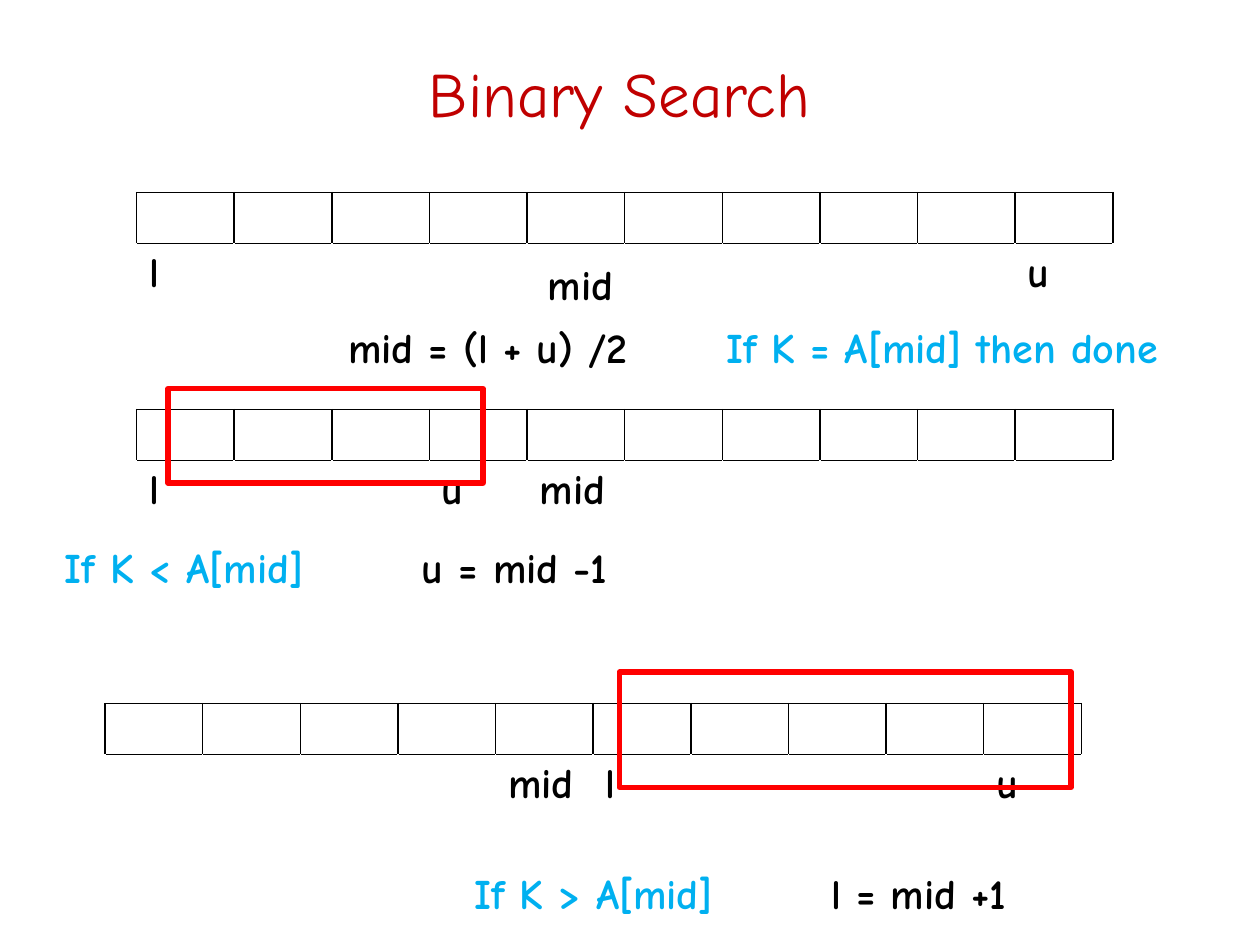
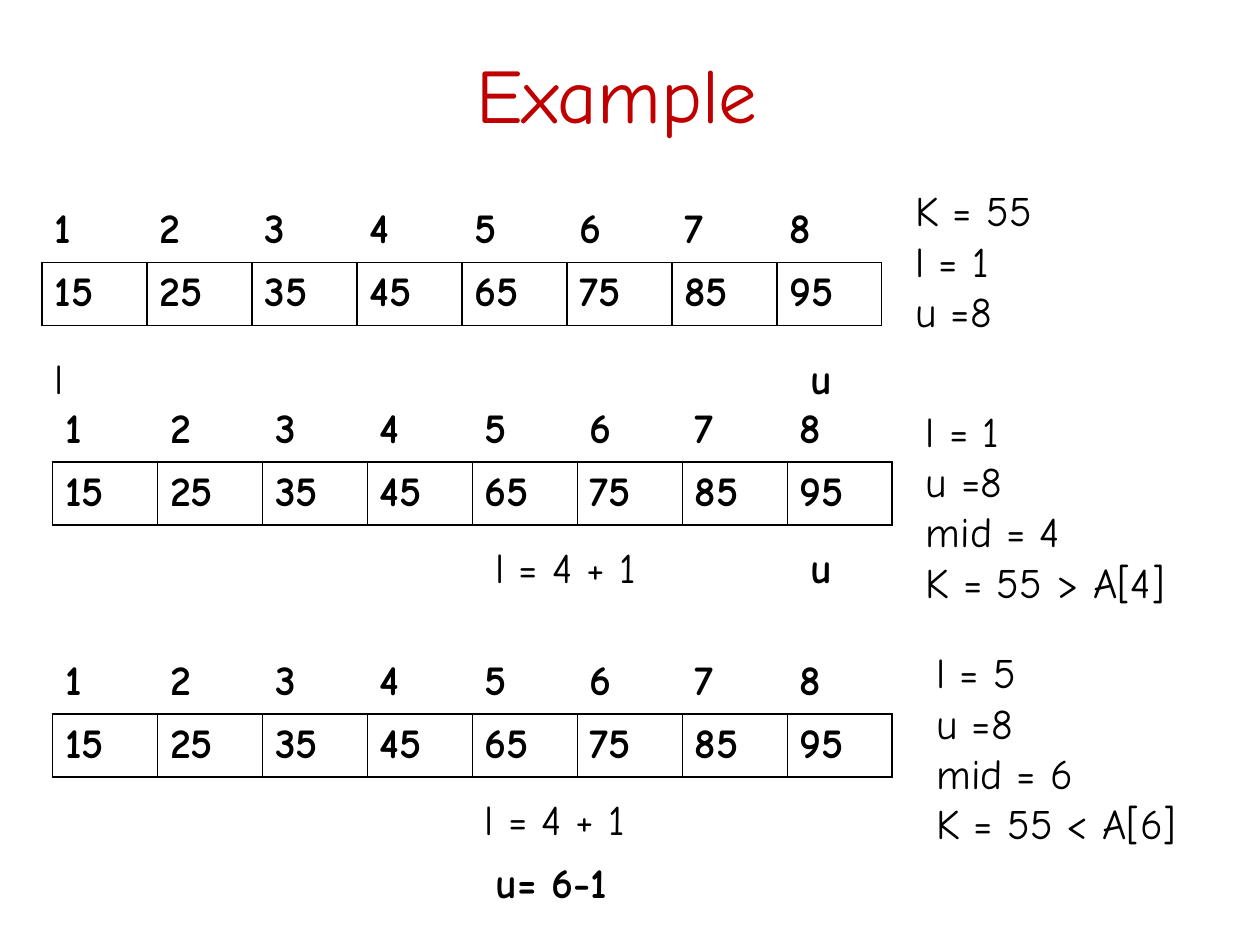
"""Two slides on binary search: the method, then a worked example."""
from dataclasses import dataclass

from lxml import etree
from pptx import Presentation
from pptx import util as u
from pptx.dml.color import RGBColor as RGB
from pptx.enum import shapes, text
from pptx.oxml.ns import qn


@dataclass(frozen=True)
class Theme:
    font: str = "Comic Neue"
    red: str = "C00000"
    frame: str = "FF0000"
    blue: str = "00B0F0"
    ink: str = "000000"
    paper: str = "FFFFFF"
    size: int = 24


T = Theme()


def write(frame, lines, color=T.ink, bold=True, size=T.size, align=None):
    for i, line in enumerate(lines):
        para = frame.paragraphs[0] if i == 0 else frame.add_paragraph()
        para.alignment = align
        run = para.add_run()
        run.text = line
        font = run.font
        font.name, font.size, font.bold = T.font, u.Pt(size), bold
        font.color.rgb = RGB.from_string(color)


def grid(slide, left, top, width, rows, edges, high):
    wide = len(rows[0])
    table = slide.shapes.add_table(len(rows), wide, u.Pt(left), u.Pt(top),
                                   u.Pt(width), u.Pt(high * len(rows))).table
    table.first_row = table.horz_banding = False
    for r, row in enumerate(rows):
        for c, word in enumerate(row):
            cell = table.cell(r, c)
            if word:
                write(cell.text_frame, [word])
            props = cell._tc.get_or_add_tcPr()
            for side, color in zip("LRTB", edges[r]):
                line = etree.SubElement(props, qn(f"a:ln{side}"), w=str(u.Pt(1)))
                fill = etree.SubElement(line, qn("a:solidFill"))
                etree.SubElement(fill, qn("a:srgbClr"), val=color)
            cell.fill.solid()
            cell.fill.fore_color.rgb = RGB.from_string(T.paper)


deck = Presentation()
deck.slide_width, deck.slide_height = u.Pt(720), u.Pt(540)
pages = []
for name, size in (("Binary Search ", 36), ("Example ", 44)):
    page = deck.slides.add_slide(deck.slide_layouts[6])
    frame = page.shapes.add_textbox(u.Pt(36), u.Pt(21.6), u.Pt(648), u.Pt(62.6)).text_frame
    frame.word_wrap = True
    frame.vertical_anchor = text.MSO_ANCHOR.MIDDLE
    write(frame, [name], T.red, False, size, text.PP_ALIGN.CENTER)
    pages.append(page)
search, sample = pages

boxed = [T.ink] * 4
below = [T.paper, T.paper, T.ink, T.paper]
above = [T.paper, T.paper, T.paper, T.ink]

for left, top, marks in (
    (78, 110, {0: "l", 9: "u"}),
    (78, 234, {0: "l", 3: "u", 4: "mid"}),
    (60, 402, {4: "mid", 5: "l", 9: "u"}),
):
    labels = [marks.get(i, "") for i in range(10)]
    grid(search, left, top, 558, [[""] * 10, labels], [boxed, below], 29.2)

for left, top, width, height in ((96, 222, 180, 54), (354, 384, 258, 66)):
    part = search.shapes.add_shape(shapes.MSO_SHAPE.RECTANGLE, u.Pt(left), u.Pt(top),
                                   u.Pt(width), u.Pt(height))
    part.shadow.inherit = False
    part.fill.background()
    part.line.color.rgb = RGB.from_string(T.frame)
    part.line.width = u.Pt(3)

keys = [str(i) for i in range(1, 9)]
values = ["15", "25", "35", "45", "65", "75", "85", "95"]
for left, top, high in ((24, 114, 29.2), (30, 228, 36), (30, 372, 36)):
    grid(sample, left, top, 480, [keys, values], [above, boxed], high)

notes = (
    (search, 192, 180, 216, ["mid = (l + u) /2"], T.ink, True),
    (search, 408, 180, 300, ["If K = A[mid] then done"], T.blue, True),
    (search, 30, 306, 216, ["If K < A[mid]"], T.blue, True),
    (search, 264, 492, 180, ["If K > A[mid]"], T.blue, True),
    (search, 234, 306, 144, ["u = mid -1"], T.ink, True),
    (search, 306, 144, 60, ["mid"], T.ink, True),
    (search, 468, 492, 144, ["l = mid +1"], T.ink, True),
    (sample, 516, 102, 162, ["K = 55", "l = 1", "u =8"], T.ink, False),
    (sample, 522, 228, 162, ["l = 1", "u =8", "mid = 4", "K = 55 > A[4]"], T.ink, False),
    (sample, 528, 366, 162, ["l = 5", "u =8", "mid = 6", "K = 55 < A[6]"], T.ink, False),
    (sample, 24, 198, 60, ["l"], T.ink, False),
    (sample, 456, 198, 48, ["u"], T.ink, True),
    (sample, 276, 306, 120, ["l = 4 + 1"], T.ink, False),
    (sample, 456, 306, 48, ["u"], T.ink, True),
    (sample, 270, 450, 120, ["l = 4 + 1"], T.ink, False),
    (sample, 276, 486, 120, ["u= 6-1"], T.ink, True),
)
for page, left, top, width, lines, color, bold in notes:
    height = 7.2 + 28.8 * len(lines)
    frame = page.shapes.add_textbox(u.Pt(left), u.Pt(top), u.Pt(width), u.Pt(height)).text_frame
    frame.word_wrap = True
    frame.auto_size = text.MSO_AUTO_SIZE.SHAPE_TO_FIT_TEXT
    write(frame, lines, color, bold)

deck.save("out.pptx")
